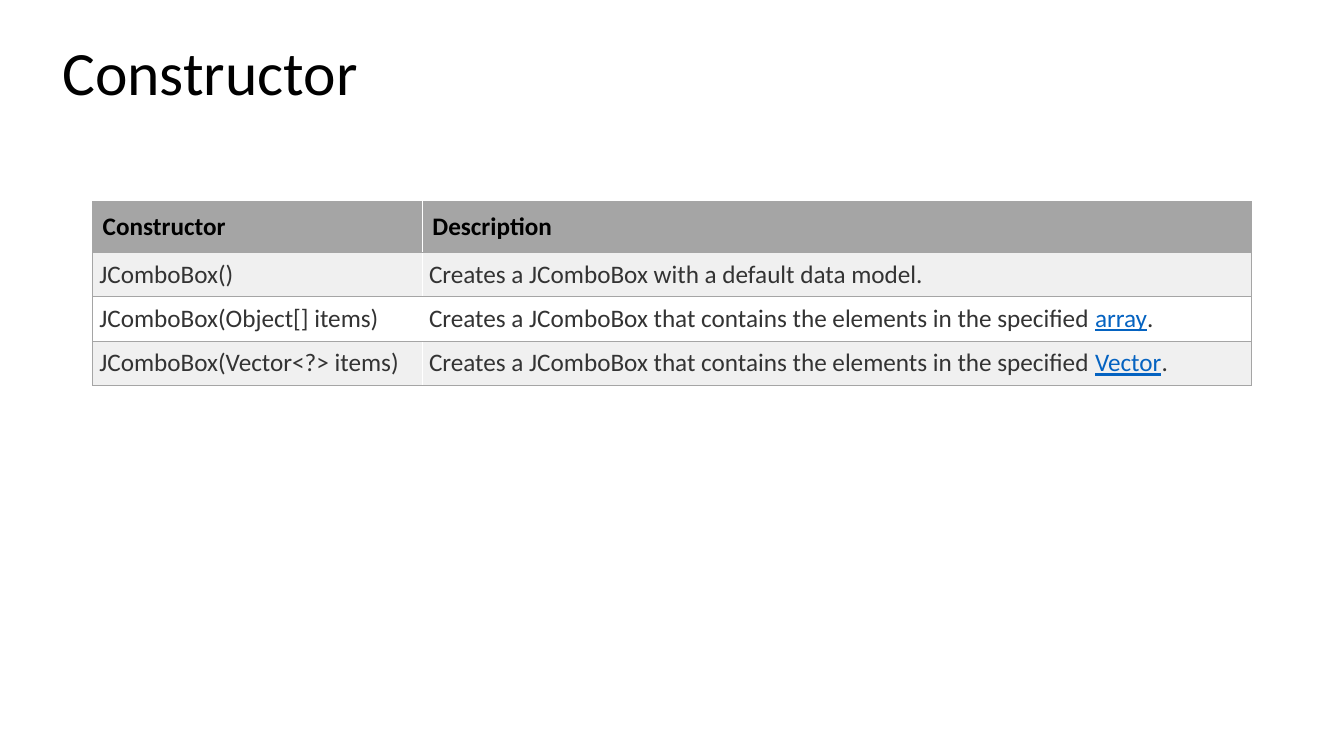
from lxml import etree
from pptx import Presentation
from pptx.dml.color import RGBColor
from pptx.enum import text
from pptx.oxml import ns
from pptx.util import Pt

BLACK = RGBColor(0x00, 0x00, 0x00)
BODY = RGBColor(0x33, 0x33, 0x33)
LINK = RGBColor(0x05, 0x63, 0xC1)
GRAY = RGBColor(0xA5, 0xA5, 0xA5)
BAND = RGBColor(0xF0, 0xF0, 0xF0)
WHITE = RGBColor(0xFF, 0xFF, 0xFF)
FONT = "Calibri"

COLUMN_WIDTHS = (235.5, 592.5)
HEADER_HEIGHT = 36.3
ROW_HEIGHT = 31.7
HEADINGS = ("Constructor", "Description")
# Each description is split into text, linked word and closing text.
CONSTRUCTORS = (
    ("JComboBox()", ("Creates a JComboBox with a default data model.",)),
    ("JComboBox(Object[] items)",
     ("Creates a JComboBox that contains the elements in the specified ", "array", ".")),
    ("JComboBox(Vector<?> items)",
     ("Creates a JComboBox that contains the elements in the specified ", "Vector", ".")),
)


def style_font(font, size, color, bold=False):
    font.name = FONT
    font.size = Pt(size)
    font.bold = bold
    font.color.rgb = color


def add_title(slide, wording):
    title = slide.shapes.add_textbox(Pt(37.4), Pt(24.5), Pt(828), Pt(58.3))
    frame = title.text_frame
    frame.word_wrap = True
    frame.vertical_anchor = text.MSO_ANCHOR.MIDDLE
    frame.text = wording
    paragraph = frame.paragraphs[0]
    paragraph.line_spacing = 0.9
    style_font(paragraph.runs[0].font, 44, BLACK)


def add_borders(cell, sides):
    """Draw 1 pt gray lines on the sides, given in the order L, R, T, B."""
    properties = cell._tc.get_or_add_tcPr()
    for side in sides:
        line = etree.SubElement(properties, ns.qn(f"a:ln{side}"), w=str(Pt(1)))
        fill = etree.SubElement(line, ns.qn("a:solidFill"))
        etree.SubElement(fill, ns.qn("a:srgbClr"), val=str(GRAY))


def fill_cell(cell, parts, background, inset, color, bold, alignment):
    """Write the parts as runs; the second part is styled as a link."""
    cell.fill.solid()
    cell.fill.fore_color.rgb = background
    cell.margin_left = cell.margin_right = Pt(inset)
    cell.margin_top = cell.margin_bottom = Pt(inset)
    paragraph = cell.text_frame.paragraphs[0]
    paragraph.alignment = alignment
    for index, part in enumerate(parts):
        run = paragraph.add_run()
        run.text = part
        is_link = index == 1
        style_font(run.font, 18, LINK if is_link else color, bold)
        run.font.underline = is_link


def add_constructor_table(slide):
    row_count = len(CONSTRUCTORS) + 1
    height = HEADER_HEIGHT + ROW_HEIGHT * len(CONSTRUCTORS)
    table = slide.shapes.add_table(row_count, len(HEADINGS), Pt(66.2), Pt(144),
                                   Pt(sum(COLUMN_WIDTHS)), Pt(height)).table
    for column, width in zip(table.columns, COLUMN_WIDTHS):
        column.width = Pt(width)
    for index, row in enumerate(table.rows):
        row.height = Pt(ROW_HEIGHT if index else HEADER_HEIGHT)
        for cell, outer_side in zip(row.cells, "LR"):
            add_borders(cell, outer_side + "TB")

    for cell, heading in zip(table.rows[0].cells, HEADINGS):
        fill_cell(cell, (heading,), GRAY, 7.2, BLACK, True, text.PP_ALIGN.LEFT)
    for index, (signature, description) in enumerate(CONSTRUCTORS):
        background = WHITE if index % 2 else BAND
        for cell, parts in zip(table.rows[index + 1].cells, ((signature,), description)):
            fill_cell(cell, parts, background, 4.8, BODY, False, text.PP_ALIGN.JUSTIFY)


def main():
    presentation = Presentation()
    presentation.slide_width = Pt(960)
    presentation.slide_height = Pt(540)
    slide = presentation.slides.add_slide(presentation.slide_layouts[6])
    add_title(slide, "Constructor")
    add_constructor_table(slide)
    presentation.save("out.pptx")


if __name__ == "__main__":
    main()
